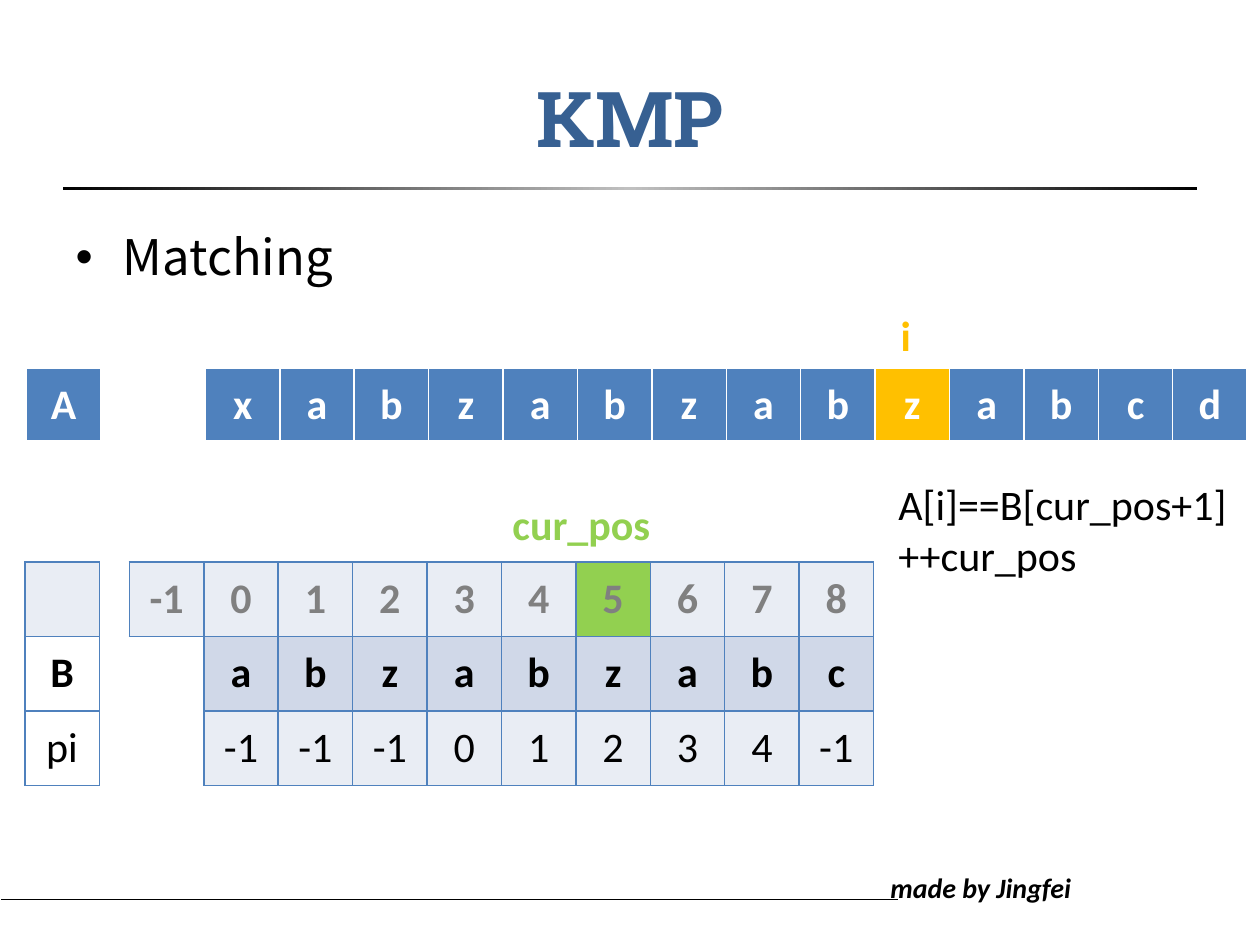
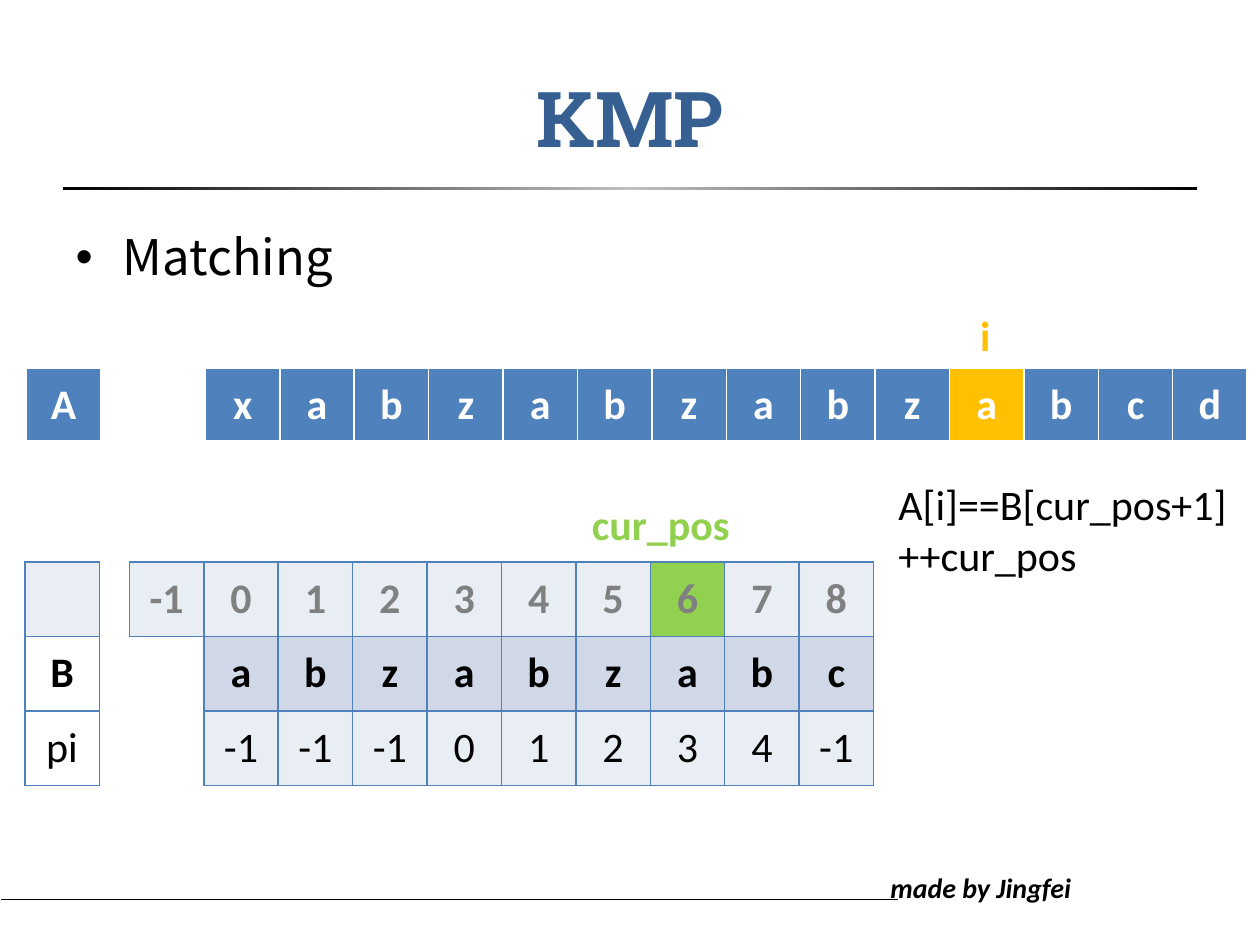
from copy import deepcopy
from dataclasses import dataclass

from pptx import Presentation
from pptx.dml.color import RGBColor
from pptx.enum.shapes import MSO_CONNECTOR, MSO_SHAPE
from pptx.enum.text import MSO_ANCHOR, MSO_AUTO_SIZE, PP_ALIGN
from pptx.oxml.ns import qn
from pptx.util import Pt
from lxml.etree import SubElement

TITLE = "KMP"
TOPIC = "Matching"
FOOTER = "made by Jingfei"
CODE = ["    A[i]==B[cur_pos+1]", "    ++cur_pos"]
TEXT_ROW = ["A", None, None, *"xabzabzabzabcd"]
PATTERN_ROWS = [
    ["", None, *map(str, range(-1, 9))],
    ["B", None, None, *"abzabzabc"],
    ["pi", None, None, "-1", "-1", "-1", "0", "1", "2", "3", "4", "-1"],
]
STEPS = [{"i": 9, "cur_pos": 5}, {"i": 10, "cur_pos": 6}]


@dataclass(frozen=True)
class Theme:
    black: str = "000000"
    silver: str = "C0C0C0"
    white: str = "FFFFFF"
    gray: str = "808080"
    navy: str = "376092"
    blue: str = "4F81BD"
    pale: str = "E9EDF4"
    band: str = "D0D8E8"
    amber: str = "FFC000"
    green: str = "92D050"
    heading_font: str = "Roboto Slab"
    body_font: str = "Noto Sans CJK SC"
    font: str = "Calibri"
    title_size: int = 44
    body_size: int = 28
    cell_size: int = 24
    footer_size: int = 16


THEME = Theme()
CELL = 42.52
GAP = 16.6
TEXT_START = 3
INDEX_START = 3
MARKER_STEP = 45.36
I_LEFT, I_TOP = 507.6, 173.5
POS_LEFT, POS_TOP = 285.8, 281.5


def rgb(value):
    return RGBColor.from_string(value)


def place(shape, left, top, width, height):
    shape.left, shape.top = Pt(left), Pt(top)
    shape.width, shape.height = Pt(width), Pt(height)


def style(para, color, size=THEME.cell_size, font=THEME.font, bold=False, italic=False):
    for span in para.runs:
        span.font.size = Pt(size)
        span.font.name = font
        span.font.bold = bold
        span.font.italic = italic
        span.font.color.rgb = rgb(color)


def add_text(page, lines, bounds, color, wrap=False, **look):
    box = page.shapes.add_textbox(*map(Pt, bounds))
    frame = box.text_frame
    frame.word_wrap = wrap
    frame.auto_size = MSO_AUTO_SIZE.SHAPE_TO_FIT_TEXT
    frame.text = "\n".join(lines)
    for para in frame.paragraphs:
        style(para, color, **look)


def add_frame(page):
    rule = page.shapes.add_connector(
        MSO_CONNECTOR.STRAIGHT, Pt(0.7), Pt(514), Pt(513.4), Pt(514))
    rule.line.color.rgb = rgb(THEME.black)
    rule.line.width = Pt(0.5)
    SubElement(rule._element.spPr, qn("a:effectLst"))

    add_text(page, [FOOTER], (501.8, 494, 120.2, 26.6), THEME.black, wrap=True,
             size=THEME.footer_size, bold=True, italic=True)

    bar = page.shapes.add_shape(MSO_SHAPE.RECTANGLE, Pt(36), Pt(106.6), Pt(648), Pt(2.2))
    bar.shadow.inherit = False
    bar.line.fill.background()
    bar.fill.gradient()
    bar.fill.gradient_angle = 0
    stop_list = bar._element.spPr.find(".//" + qn("a:gsLst"))
    stop_list.insert(1, deepcopy(stop_list[0]))
    colors = (THEME.black, THEME.silver, THEME.black)
    for number, (stop, color) in enumerate(zip(bar.fill.gradient_stops, colors)):
        stop.position = number / 2
        stop.color.rgb = rgb(color)


def add_headings(page):
    title, body = page.placeholders
    place(title, 36, 21.6, 648, 90)
    title.text_frame.text = TITLE
    style(title.text_frame.paragraphs[0], THEME.navy, THEME.title_size,
          THEME.heading_font, bold=True)
    place(body, 36, 126, 684, 393)
    body.text_frame.text = TOPIC
    para = body.text_frame.paragraphs[0]
    para.space_before = Pt(0)
    style(para, THEME.black, THEME.body_size, THEME.body_font)


def add_border(cell, side, color, width):
    line = SubElement(cell._tc.get_or_add_tcPr(), qn("a:ln" + side), w=str(Pt(width)))
    if color is None:
        SubElement(line, qn("a:noFill"))
    else:
        fill = SubElement(line, qn("a:solidFill"))
        SubElement(fill, qn("a:srgbClr"), val=color)


def add_grid(page, rows, left, top, border, bottom_width, look):
    count = len(rows[0])
    widths = [GAP if column == 1 else CELL for column in range(count)]
    table = page.shapes.add_table(len(rows), count, Pt(left), Pt(top),
                                  Pt(sum(widths)), Pt(CELL * len(rows))).table
    table.first_row = table.horz_banding = False
    for column, width in zip(table.columns, widths):
        column.width = Pt(width)

    def framed(row, column):
        return 0 <= row < len(rows) and 0 <= column < count and rows[row][column] is not None

    for r, row in enumerate(rows):
        table.rows[r].height = Pt(CELL)
        for c, value in enumerate(row):
            cell = table.cell(r, c)
            sides = {"L": (r, c - 1), "R": (r, c + 1), "T": (r - 1, c), "B": (r + 1, c)}
            for side, neighbor in sides.items():
                drawn = framed(r, c) or framed(*neighbor)
                add_border(cell, side, border if drawn else None,
                           bottom_width if side == "B" else 1)
            fill, color, bold = look(r, c)
            if value is None or fill is None:
                cell.fill.background()
            else:
                cell.fill.solid()
                cell.fill.fore_color.rgb = rgb(fill)
            cell.vertical_anchor = MSO_ANCHOR.MIDDLE
            if value:
                cell.text_frame.text = value
                para = cell.text_frame.paragraphs[0]
                para.alignment = PP_ALIGN.CENTER
                style(para, color, bold=bold)


def add_step(deck, step):
    page = deck.slides.add_slide(deck.slide_layouts[1])
    add_headings(page)
    add_frame(page)

    def text_look(row, column):
        current = column == TEXT_START + step["i"]
        return THEME.amber if current else THEME.blue, THEME.white, True

    def pattern_look(row, column):
        if row == 0:
            current = column == INDEX_START + step["cur_pos"]
            return THEME.green if current else THEME.pale, THEME.gray, True
        fill = None if column == 0 else (THEME.band if row == 1 else THEME.pale)
        return fill, THEME.black, row == 1

    add_grid(page, [TEXT_ROW], 15.1, 210.5, THEME.white, 3, text_look)
    add_grid(page, PATTERN_ROWS, 14.2, 321.2, THEME.blue, 1, pattern_look)
    add_text(page, CODE, (484.6, 270, 247.7, 65.5), THEME.black)

    i_shift = MARKER_STEP * (step["i"] - STEPS[0]["i"])
    pos_shift = MARKER_STEP * (step["cur_pos"] - STEPS[0]["cur_pos"])
    add_text(page, ["i"], (I_LEFT + i_shift, I_TOP, 20.9, 36), THEME.amber, bold=True)
    add_text(page, ["cur_pos"], (POS_LEFT + pos_shift, POS_TOP, 103, 36),
             THEME.green, bold=True)


def main():
    deck = Presentation()
    deck.slide_width, deck.slide_height = Pt(720), Pt(540)
    for step in STEPS:
        add_step(deck, step)
    deck.save("out.pptx")


if __name__ == "__main__":
    main()
